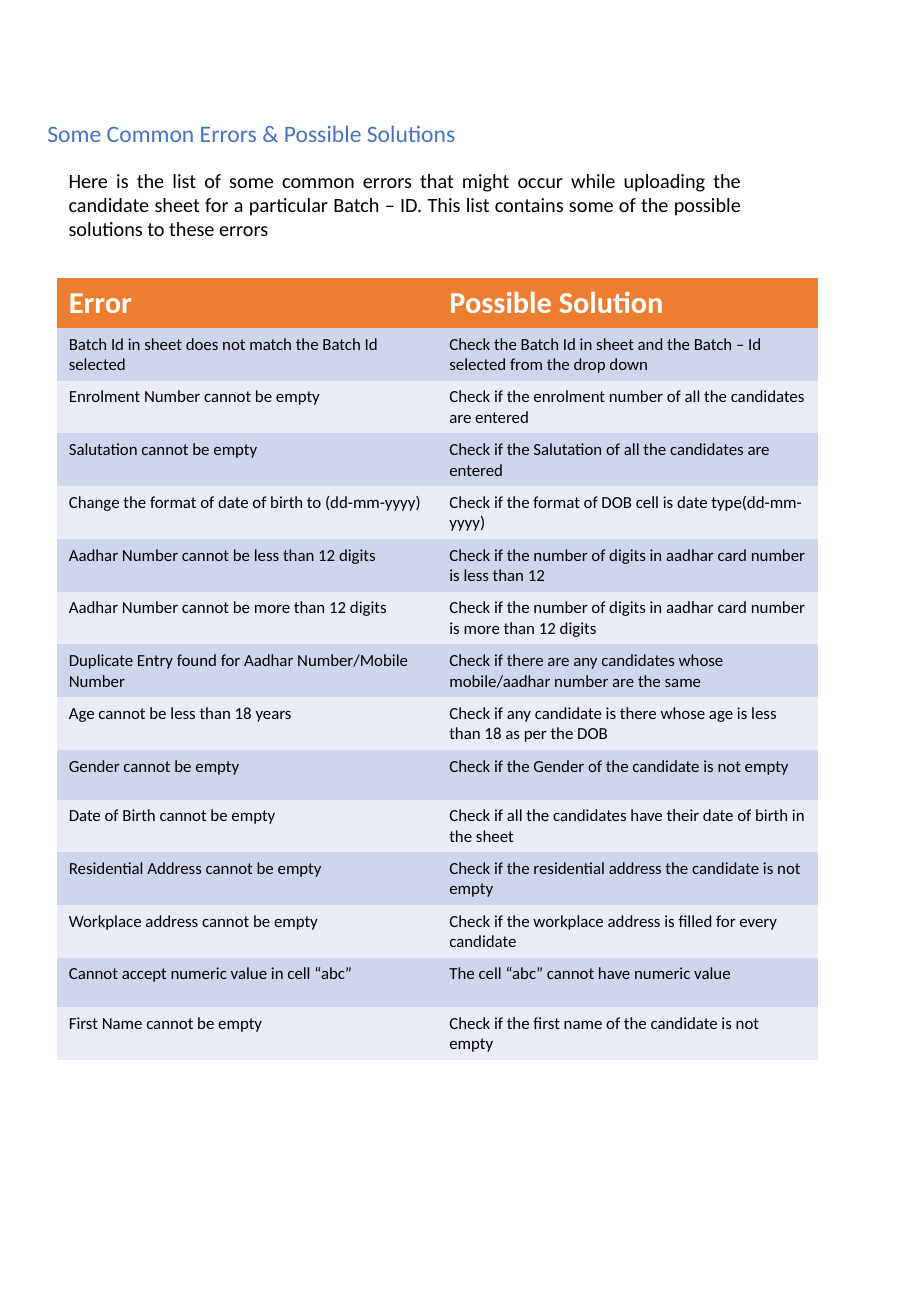
from dataclasses import dataclass

from pptx import Presentation
from pptx import util as u
from pptx.dml.color import RGBColor
from pptx.enum import text

PX = 7620  # EMU per px, 120 px to the inch
NO_STYLE = "{2D5ABB26-0587-4C30-8999-92F81FD0307C}"


@dataclass(frozen=True)
class Theme:
    font: str = "Calibri"
    title: str = "4472C4"
    ink: str = "000000"
    head_ink: str = "FFFFFF"
    head_fill: str = "ED7D31"
    bands: tuple = ("CFD5EA", "E9EBF5")
    title_size: int = 14
    intro_size: int = 12
    head_size: int = 18
    cell_size: int = 10


THEME = Theme()


def write(tf, words, *, size, color, bold=False, align=text.PP_ALIGN.LEFT):
    """Put one formatted paragraph in a text frame."""
    tf.word_wrap = True
    p = tf.paragraphs[0]
    p.alignment = align
    r = p.add_run()
    r.text = words
    r.font.name = THEME.font
    r.font.size = u.Pt(size)
    r.font.bold = bold
    r.font.color.rgb = RGBColor.from_string(color)


class Page:
    def __init__(self, prs, theme):
        self.theme = theme
        self.s = prs.slides.add_slide(prs.slide_layouts[6])

    def textbox(self, x, y, w, h, words, **fmt):
        sp = self.s.shapes.add_textbox(x * PX, y * PX, w * PX, h * PX)
        write(sp.text_frame, words, **fmt)
        sp.text_frame.auto_size = text.MSO_AUTO_SIZE.SHAPE_TO_FIT_TEXT

    def table(self, x, y, col_w, row_h, header, rows):
        t = self.theme
        n_rows, n_cols = len(rows) + 1, len(header)
        frame = self.s.shapes.add_table(n_rows, n_cols, x * PX, y * PX,
                                        n_cols * col_w * PX, n_rows * row_h * PX)
        table = frame.table
        # A plain style keeps the cells free of borders
        table._tbl.tblPr[0].text = NO_STYLE
        for col in table.columns:
            col.width = col_w * PX
        for i, values in enumerate([header, *rows]):
            table.rows[i].height = row_h * PX
            if i == 0:
                fill, fmt = t.head_fill, dict(size=t.head_size, color=t.head_ink, bold=True)
            else:
                fill, fmt = t.bands[(i - 1) % 2], dict(size=t.cell_size, color=t.ink)
            for cell, words in zip(table.rows[i].cells, values):
                cell.fill.solid()
                cell.fill.fore_color.rgb = RGBColor.from_string(fill)
                write(cell.text_frame, words, **fmt)


HEADER = ("Error", "Possible Solution")
ERRORS = [
    ("Batch Id in sheet does not match the Batch Id selected",
     "Check the Batch Id in sheet and the Batch – Id selected from the drop down"),
    ("Enrolment Number cannot be empty",
     "Check if the enrolment number of all the candidates are entered"),
    ("Salutation cannot be empty",
     "Check if the Salutation of all the candidates are entered"),
    ("Change the format of date of birth to (dd-mm-yyyy)",
     "Check if the format of DOB cell is date type(dd-mm-yyyy)"),
    ("Aadhar Number cannot be less than 12 digits",
     "Check if the number of digits in aadhar card number is less than 12"),
    ("Aadhar Number cannot be more than 12 digits",
     "Check if the number of digits in aadhar card number is more than 12 digits"),
    ("Duplicate Entry found for Aadhar Number/Mobile Number",
     "Check if there are any candidates whose mobile/aadhar number are the same"),
    ("Age cannot be less than 18 years",
     "Check if any candidate is there whose age is less than 18 as per the DOB"),
    ("Gender cannot be empty",
     "Check if the Gender of the candidate is not empty"),
    ("Date of Birth cannot be empty",
     "Check if all the candidates have their date of birth in the sheet"),
    ("Residential Address cannot be empty",
     "Check if the residential address the candidate is not empty"),
    ("Workplace address cannot be empty",
     "Check if the workplace address is filled for every candidate"),
    ("Cannot accept numeric value in cell “abc”",
     "The cell “abc” cannot have numeric value"),
    ("First Name cannot be empty",
     "Check if the first name of the candidate is not empty"),
]
INTRO = ("Here is the list of some common errors that might occur while uploading "
         "the candidate sheet for a particular Batch – ID. This list contains some "
         "of the possible solutions to these errors")


def main():
    prs = Presentation()
    prs.slide_width, prs.slide_height = 900 * PX, 1300 * PX
    page = Page(prs, THEME)

    # Title
    page.textbox(35, 112, 602, 41, "Some Common Errors & Possible Solutions",
                 size=THEME.title_size, color=THEME.title)

    # Table of errors
    page.table(56, 275, 376, 49, HEADER, ERRORS)

    # Introduction
    page.textbox(56, 160, 689, 85, INTRO, size=THEME.intro_size,
                 color=THEME.ink, align=text.PP_ALIGN.JUSTIFY)

    prs.save("out.pptx")


if __name__ == "__main__":
    main()
